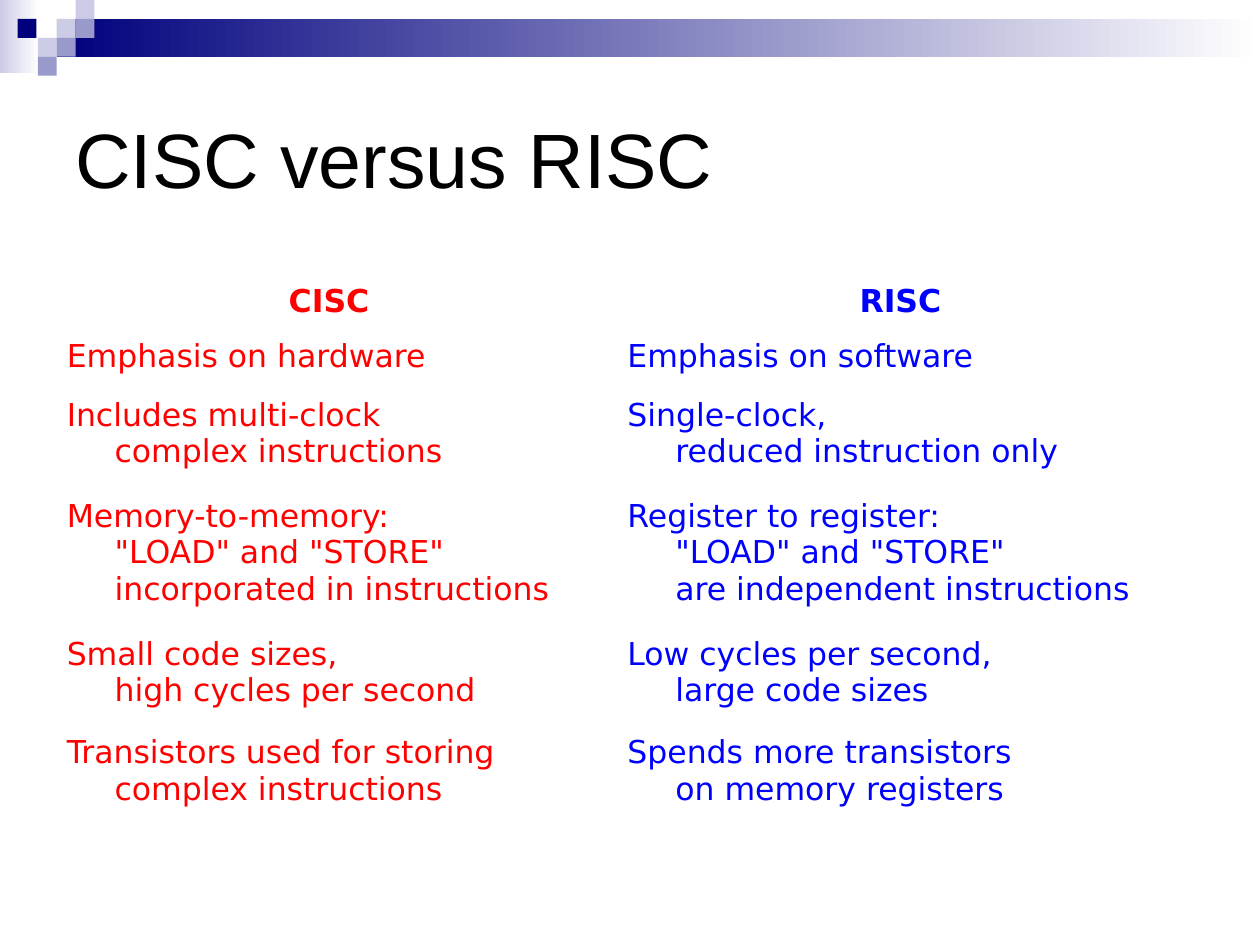
from dataclasses import dataclass

from pptx import Presentation
from pptx import util as u
from pptx.dml.color import RGBColor
from pptx.enum import shapes, text
from pptx.oxml import ns


@dataclass(frozen=True)
class Theme:
    navy: str = "00007D"
    mid: str = "9999CC"
    pale: str = "CCCCE6"
    white: str = "FFFFFF"
    black: str = "000000"
    red: str = "FF0000"
    blue: str = "0000FF"
    head: str = "Arial"
    body: str = "DejaVu Sans"
    big: int = 44
    small: int = 18


THEME = Theme()
STEP = 0.15

ROWS = [
    (0.44, "CISC ", "RISC "),
    (0.44, "Emphasis on hardware", "Emphasis on software"),
    (0.78, "Includes multi-clock\ncomplex instructions",
     "Single-clock,\nreduced instruction only"),
    (1.12, 'Memory-to-memory:\n"LOAD" and "STORE"\nincorporated in instructions',
     'Register to register:\n"LOAD" and "STORE"\nare independent instructions'),
    (0.78, "Small code sizes,\nhigh cycles per second",
     "Low cycles per second,\nlarge code sizes"),
    (0.78, "Transistors used for storing\ncomplex instructions",
     "Spends more transistors\non memory registers"),
]


def apply(item, values):
    for name, value in values.items():
        setattr(item, name, value)


def write(para, words, color, **font):
    para.text = words
    for run in para.runs:
        apply(run.font, font)
        run.font.color.rgb = RGBColor.from_string(color)


def add_block(slide, box, *colors):
    """Add a borderless rectangle; two colors make a left-to-right fade."""
    block = slide.shapes.add_shape(
        shapes.MSO_SHAPE.RECTANGLE, *map(u.Inches, box))
    block.shadow.inherit = False
    block.line.fill.background()
    if len(colors) == 1:
        block.fill.solid()
        block.fill.fore_color.rgb = RGBColor.from_string(colors[0])
        return
    block.fill.gradient()
    block.fill.gradient_angle = 0
    for place, (stop, color) in enumerate(zip(block.fill.gradient_stops, colors)):
        stop.position = place
        stop.color.rgb = RGBColor.from_string(color)


def add_banner(slide):
    add_block(slide, (0, 0, 0.31, 0.58), THEME.pale, THEME.white)
    add_block(slide, (0.45, STEP, 9.55, 0.3), THEME.navy, THEME.white)
    tiles = [
        (3, 1, THEME.pale), (4, 0, THEME.pale), (4, 1, THEME.mid),
        (2, 2, THEME.pale), (0.93, 1, THEME.navy), (3, 2, THEME.mid),
        (2, 3, THEME.mid),
    ]
    for col, row, color in tiles:
        add_block(slide, (col * STEP, row * STEP, STEP, STEP), color)


def add_title(slide, words):
    frame = slide.shapes.add_textbox(
        *map(u.Inches, (0.5, 0.5, 9, 1.5))).text_frame
    apply(frame, {"word_wrap": True,
                  "vertical_anchor": text.MSO_ANCHOR.MIDDLE})
    write(frame.paragraphs[0], words, THEME.black,
          name=THEME.head, size=u.Pt(THEME.big))


def fill_cell(cell, words, color, header):
    cell.fill.background()
    cell.vertical_anchor = text.MSO_ANCHOR.MIDDLE
    para = cell.text_frame.paragraphs[0]
    write(para, words, color, name=THEME.body,
          size=u.Pt(THEME.small), bold=header)
    para.alignment = text.PP_ALIGN.CENTER if header else text.PP_ALIGN.LEFT
    props = para._p.get_or_add_pPr()
    props.set("marL", str(u.Inches(0.38)))
    props.set("indent", str(u.Inches(-0.38)))
    for line in para._p.findall(ns.qn("a:br")):
        line.append(line.makeelement(
            ns.qn("a:rPr"), {"sz": str(THEME.small * 100)}))


def add_grid(slide):
    grid = slide.shapes.add_table(
        len(ROWS), 2, *map(u.Inches, (0.43, 2.17, 9.07, 4.28))).table
    apply(grid, {"first_row": False, "horz_banding": False})
    for col, width in zip(grid.columns, (4.45, 4.62)):
        col.width = u.Inches(width)
    for num, (height, *words) in enumerate(ROWS):
        grid.rows[num].height = u.Inches(height)
        for cell, entry, color in zip(
                grid.rows[num].cells, words, (THEME.red, THEME.blue)):
            fill_cell(cell, entry, color, num == 0)


def main():
    deck = Presentation()
    apply(deck, {"slide_width": u.Inches(10), "slide_height": u.Inches(7.5)})
    slide = deck.slides.add_slide(deck.slide_layouts[6])
    add_banner(slide)
    add_title(slide, "CISC versus RISC")
    add_grid(slide)
    deck.save("out.pptx")


if __name__ == "__main__":
    main()
